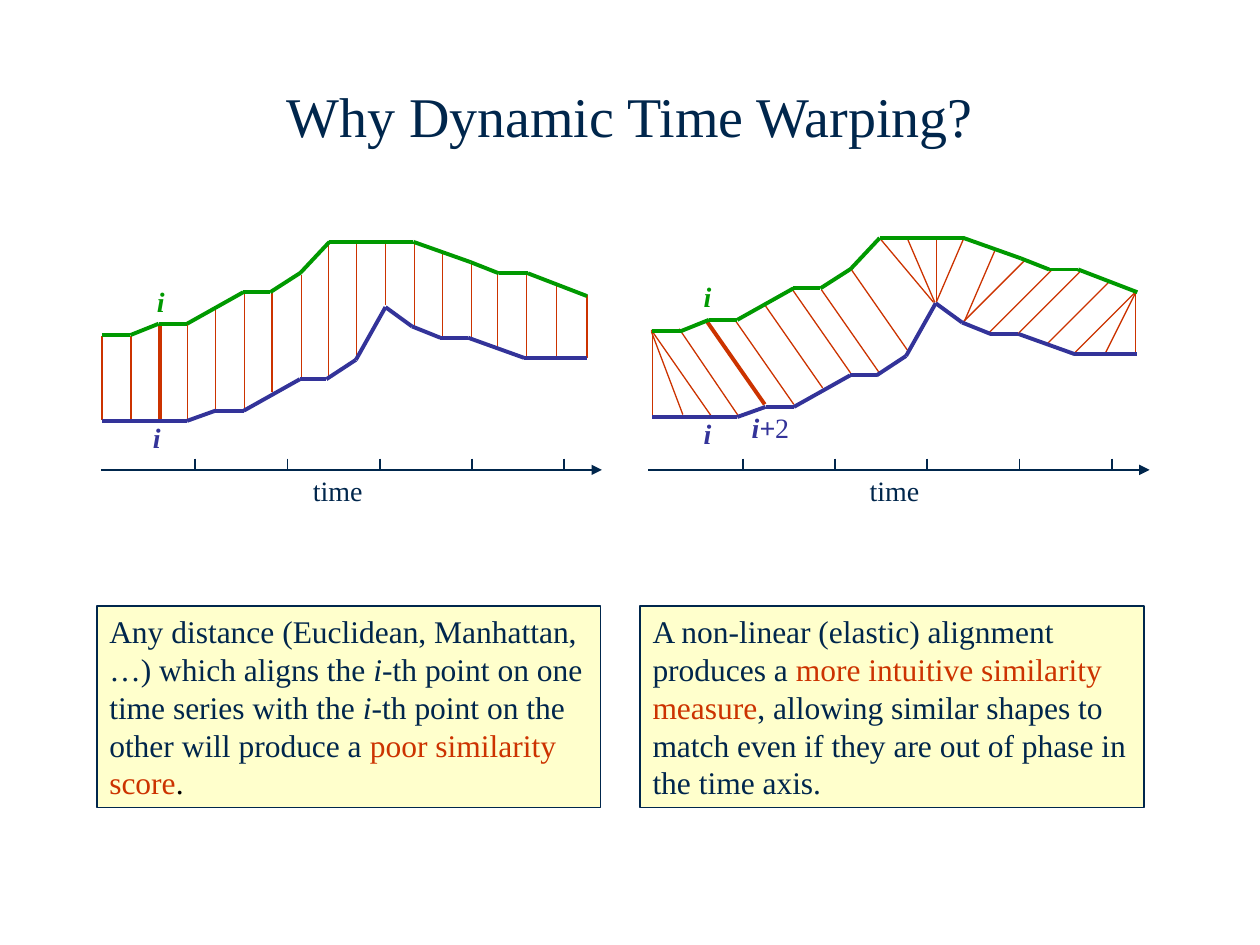
"""Build the slide that compares point-by-point alignment with dynamic time warping."""
from itertools import pairwise

from lxml.etree import SubElement
from pptx import Presentation
from pptx.dml.color import RGBColor
from pptx.enum.shapes import MSO_CONNECTOR, MSO_SHAPE
from pptx.enum.text import MSO_ANCHOR as Anchor, MSO_AUTO_SIZE as AutoSize, PP_ALIGN as Align
from pptx.oxml.ns import qn
from pptx.util import Pt

NAVY = RGBColor(0x00, 0x26, 0x4C)
GREEN = RGBColor(0x00, 0x99, 0x00)
BLUE = RGBColor(0x33, 0x33, 0x99)
RED = RGBColor(0xCC, 0x33, 0x00)
CREAM = RGBColor(0xFF, 0xFF, 0xCC)
WHITE = RGBColor(0xFF, 0xFF, 0xFF)
BLACK = RGBColor(0x00, 0x00, 0x00)


def add_line(start, end, color, width, arrow=False):
    points = [Pt(value) for value in (*start, *end)]
    connector = slide.shapes.add_connector(MSO_CONNECTOR.STRAIGHT, *points)
    connector.line.color.rgb = color
    connector.line.width = Pt(width)
    if arrow:
        SubElement(connector.line._get_or_add_ln(), qn("a:tailEnd"), type="triangle")
    SubElement(connector._element.spPr, qn("a:effectLst"))


def write_text(shape, runs, size, color, align, frame_format):
    for name, value in frame_format.items():
        setattr(shape.text_frame, name, value)
    paragraph = shape.text_frame.paragraphs[0]
    paragraph.alignment = align
    for text, changes in runs:
        run = paragraph.add_run()
        run.text = text
        run.font.color.rgb = changes.get("color", color)
        font_format = {"name": "Times New Roman", "size": Pt(size), "bold": False, "italic": False}
        for name, value in (font_format | changes).items():
            if name != "color":
                setattr(run.font, name, value)


presentation = Presentation()
presentation.slide_width = Pt(720)
presentation.slide_height = Pt(540)
slide = presentation.slides.add_slide(presentation.slide_layouts[5])

title = slide.shapes.title
for name, value in {"left": 42, "top": 36, "width": 636, "height": 60}.items():
    setattr(title, name, Pt(value))
title_format = {"vertical_anchor": Anchor.MIDDLE, "auto_size": AutoSize.NONE}
write_text(title, [("Why Dynamic Time Warping?", {})], 32, NAVY, Align.CENTER, title_format)

INDEX = {"bold": True, "italic": True}
label_format = {"vertical_anchor": Anchor.MIDDLE, "word_wrap": False}
labels = [
    (398.9, 151.2, 10.8, [("i", INDEX)], GREEN),
    (429.8, 226.1, 20.9, [("i+", INDEX), ("2", {})], BLUE),
    (86.4, 154.1, 10.8, [("i", INDEX)], GREEN),
    (84.2, 231.8, 10.8, [("i", INDEX)], BLUE),
    (398.9, 229.7, 10.8, [("i", INDEX)], BLUE),
    (500.4, 262.1, 21.6, [("time", {})], NAVY),
    (182.2, 262.1, 21.6, [("time", {})], NAVY),
]
for left, top, width, runs, color in labels:
    label = slide.shapes.add_shape(MSO_SHAPE.RECTANGLE, Pt(left), Pt(top), Pt(width), Pt(36))
    label.shadow.inherit = False
    label.fill.solid()
    label.fill.fore_color.rgb = WHITE
    label.line.fill.background()
    write_text(label, runs, 16, color, Align.CENTER, label_format)

ITALIC = {"italic": True}
HIGHLIGHT = {"color": RED}
note_format = {"vertical_anchor": Anchor.MIDDLE, "word_wrap": True,
               "auto_size": AutoSize.SHAPE_TO_FIT_TEXT}
notes = [
    (55.4, [
        ("Any distance (Euclidean, Manhattan, …) which aligns the ", {}),
        ("i", ITALIC),
        ("-th point on one time series with the ", {}),
        ("i", ITALIC),
        ("-th point on the other will produce a ", {}),
        ("poor similarity score", HIGHLIGHT),
        (".", {"color": BLACK}),
    ]),
    (365.8, [
        ("A non-linear (elastic) alignment produces a ", {}),
        ("more intuitive similarity measure", HIGHLIGHT),
        (", allowing similar shapes to match even if they are out of phase in the time axis.", {}),
    ]),
]
for left, runs in notes:
    note = slide.shapes.add_shape(MSO_SHAPE.RECTANGLE, Pt(left), Pt(346.3), Pt(288), Pt(115.2))
    note.shadow.inherit = False
    note.fill.solid()
    note.fill.fore_color.rgb = CREAM
    note.line.color.rgb = NAVY
    note.line.width = Pt(0.75)
    write_text(note, runs, 18, NAVY, Align.LEFT, note_format)

for axis_left in (57.6, 370.5):
    add_line((axis_left, 268.5), (axis_left + 286.4, 268.5), NAVY, 1.5, arrow=True)
    for tick in range(5):
        tick_x = axis_left + 54 + 52.7 * tick
        add_line((tick_x, 262.1), (tick_x, 267.8), NAVY, 1)

same_time_links = [
    (58.3, 192.2, 239.8), (74.9, 192.2, 239.8), (107.3, 185, 240.5), (123.1, 177.1, 234),
    (139.7, 167.8, 234), (155.5, 167, 223.9), (172.1, 157, 216), (187.9, 139, 215.3),
    (203.8, 139, 203), (220.3, 138.2, 174.2), (236.9, 138.2, 186.5), (252.7, 144.7, 193),
    (269.3, 149.8, 193), (284.4, 156.2, 199.4), (301, 157, 205.2), (318.2, 162, 205.2),
    (335.5, 168.5, 204.5),
]
for x, top, bottom in same_time_links:
    add_line((x, top), (x, bottom), RED, 0.75)

warped_links = [
    ((373, 189.4), (373, 236.9)), ((372.2, 189.4), (390.2, 236.9)),
    ((372.2, 188.6), (406.8, 238.3)), ((388.1, 187.9), (421.9, 237.6)),
    ((503.3, 136.8), (533.5, 172.8)), ((518.4, 136.1), (534.2, 172.8)),
    ((535, 136.1), (535, 172.1)), ((550.8, 136.1), (535, 172.8)),
    ((568.8, 142.6), (550.8, 184.3)), ((649.4, 166.3), (631.4, 202.3)),
    ((648.7, 165.6), (648.7, 201.6)),
]
forward_starts = [(420.5, 183.6), (437, 174.2), (452.9, 165.6), (469.4, 165.6), (486, 153.4)]
backward_starts = [(586.1, 148.3), (601.2, 154.1), (617, 155.5), (634.3, 160.6), (649.4, 166.3)]
for starts, shift_x, shift_y in ((forward_starts, 33.1, 47.5), (backward_starts, -36, 36)):
    warped_links += [((x, y), (x + shift_x, y + shift_y)) for x, y in starts]
for start, end in warped_links:
    add_line(start, end, RED, 0.75)

add_line((91.4, 185), (91.4, 240.5), RED, 2.25)
add_line((403.9, 183.6), (437, 231.1), RED, 2.25)

upper_series = [
    (58.3, 191.5), (74.5, 191.5), (90.7, 185), (106.9, 185), (139, 167), (154.4, 167),
    (171.7, 155.9), (188.3, 138.2), (236.2, 138.2), (268.9, 149.8), (285.1, 156.2),
    (301.7, 156.2), (335.5, 169.2),
]
lower_series = [
    (58.3, 240.5), (106.9, 240.5), (123.1, 234.7), (139.3, 234.7), (171.4, 216.7),
    (186.5, 216.7), (203.4, 205.6), (220.3, 175.5), (235.4, 186.5), (251.6, 193),
    (267.5, 193), (299.5, 204.5), (335.5, 204.5),
]
for offset_x, offset_y in ((0, 0), (314.4, -2.2)):
    for series, color in ((upper_series, GREEN), (lower_series, BLUE)):
        moved = [(x + offset_x, y + offset_y) for x, y in series]
        for start, end in pairwise(moved):
            add_line(start, end, color, 2.25)

presentation.save("out.pptx")
